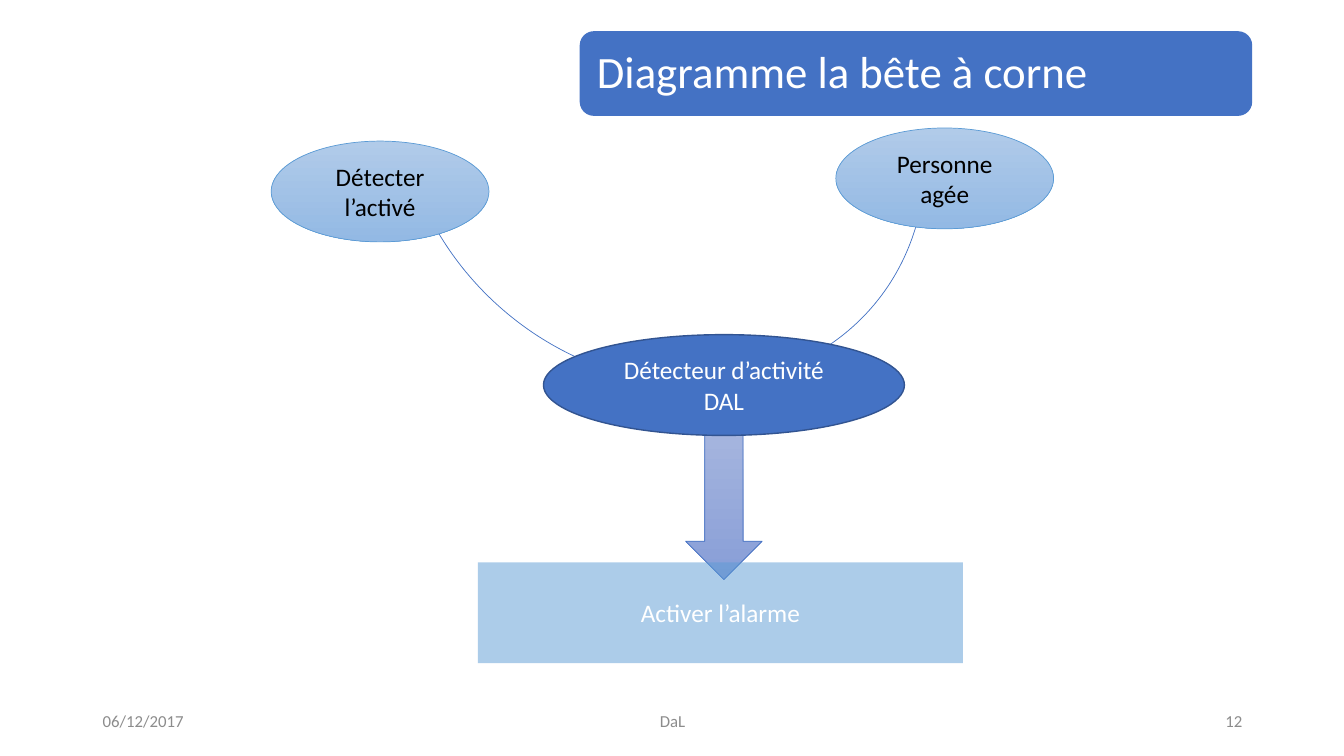
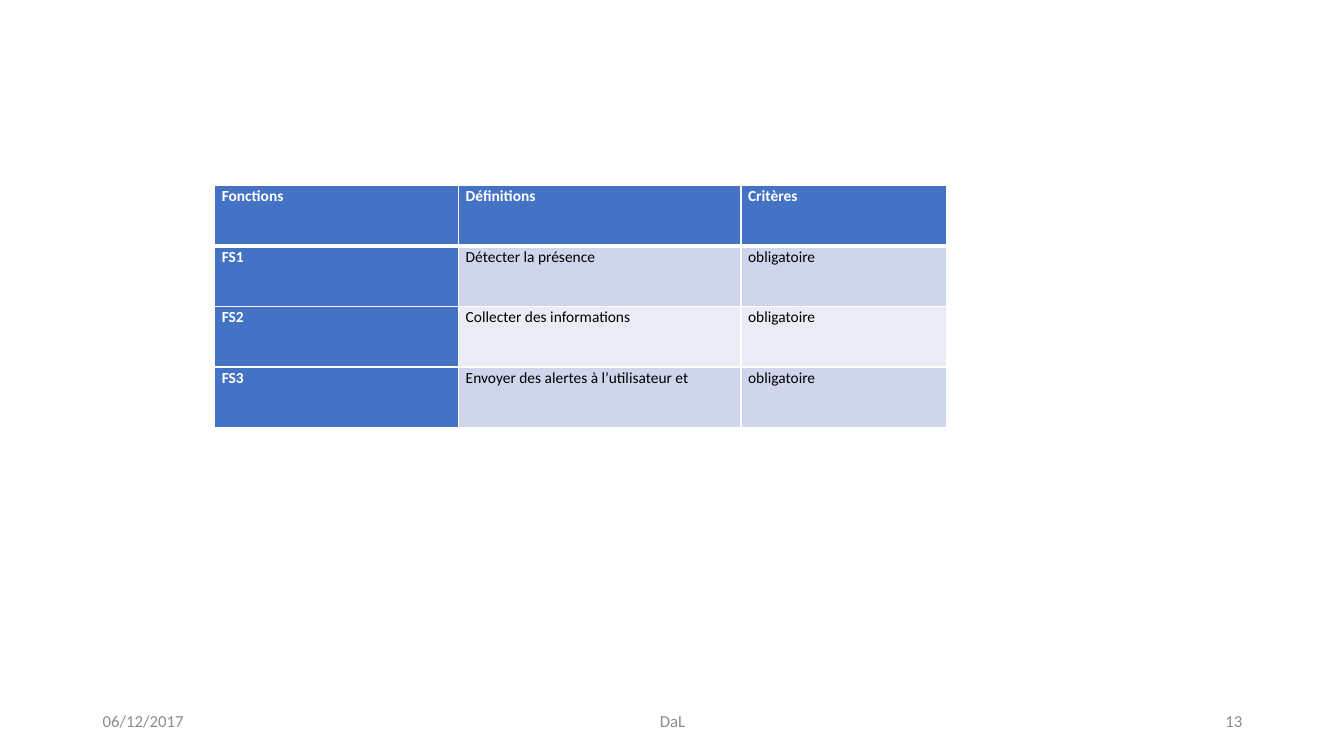
from lxml import etree
from pptx import Presentation
from pptx import util as u
from pptx.dml.color import RGBColor
from pptx.enum import shapes, text
from pptx.oxml import ns


class Theme:
    font = "Calibri"
    blue, dark_blue, light_blue = "4472C4", "325491", "5B9BD5"
    white, black, grey = "FFFFFF", "000000", "8C8C8C"
    bands = ("CFD5EA", "E9EBF5")
    arrow_gradient = ("A8B7DF", "889ED7")
    ellipse_gradient = ("B1CBE9", "93B9E4")
    title_size, body_size, footer_size, table_size = 32, 18, 12, 11


LEFT, CENTER, RIGHT = text.PP_ALIGN.LEFT, text.PP_ALIGN.CENTER, text.PP_ALIGN.RIGHT
MIDDLE = text.MSO_ANCHOR.MIDDLE


def write(frame, wording, size, color, align=LEFT, bold=False, spacing=1.0):
    frame.word_wrap = True
    paragraph = frame.paragraphs[0]
    paragraph.alignment, paragraph.line_spacing = align, spacing
    run = paragraph.add_run()
    run.text = wording
    values = {"name": Theme.font, "size": u.Pt(size), "bold": bold}
    for name, value in values.items():
        setattr(run.font, name, value)
    run.font.color.rgb = RGBColor.from_string(color)


def draw(slide, kind, box, fill=None, line=None, line_width=0.5):
    """A fill is None, one colour, or a pair running from top to bottom."""
    shape = slide.shapes.add_shape(kind, *map(u.Inches, box))
    shape.shadow.inherit = False
    if fill is None:
        shape.fill.background()
    elif isinstance(fill, tuple):
        shape.fill.gradient()
        shape.fill.gradient_angle = 270
        for stop, color in zip(shape.fill.gradient_stops, fill):
            stop.color.rgb = RGBColor.from_string(color)
    else:
        shape.fill.solid()
        shape.fill.fore_color.rgb = RGBColor.from_string(fill)
    if line:
        shape.line.color.rgb = RGBColor.from_string(line)
        shape.line.width = u.Pt(line_width)
    else:
        shape.line.fill.background()
    return shape


presentation = Presentation()
presentation.slide_width, presentation.slide_height = u.Inches(13.33), u.Inches(7.5)
blank = presentation.slide_layouts[6]
diagram_slide, table_slide = [presentation.slides.add_slide(blank) for _ in range(2)]
preset = shapes.MSO_SHAPE

# Diagram: arrow and horns lie behind the ellipses
draw(diagram_slide, preset.DOWN_ARROW, (6.8, 4.15, 0.76, 1.6), Theme.arrow_gradient, Theme.blue)
horns = draw(diagram_slide, preset.ARC, (4.15, -1.51, 4.83, 5.51), line=Theme.blue)
horns.rotation = 131
horns.adjustments[0], horns.adjustments[1] = 148.16, 17.81

# Title band
title = draw(diagram_slide, preset.ROUNDED_RECTANGLE, (5.75, 0.31, 6.67, 0.84), Theme.blue)
title.text_frame.vertical_anchor = MIDDLE
for side in ("left", "right", "top", "bottom"):
    setattr(title.text_frame, "margin_" + side, u.Inches(0.13))
write(title.text_frame, "Diagramme la bête à corne", Theme.title_size, Theme.white, spacing=0.9)

# Labelled nodes
nodes = [
    ("Détecteur d’activité DAL", preset.OVAL, (5.39, 3.32, 3.58, 1), Theme.blue,
     Theme.dark_blue, 1, Theme.white),
    ("Détecter l’activé", preset.OVAL, (2.69, 1.4, 2.16, 1), Theme.ellipse_gradient,
     Theme.light_blue, 0.5, Theme.black),
    ("Personne agée", preset.OVAL, (8.29, 1.27, 2.16, 1), Theme.ellipse_gradient,
     Theme.light_blue, 0.5, Theme.black),
    ("Activer l’alarme", preset.RECTANGLE, (4.74, 5.58, 4.81, 1), Theme.light_blue,
     None, 0, Theme.white),
]
for wording, kind, box, fill, line, line_width, color in nodes:
    node = draw(diagram_slide, kind, box, fill, line, line_width)
    node.text_frame.vertical_anchor = MIDDLE
    write(node.text_frame, wording, Theme.body_size, color, CENTER)

# The alarm box, drawn last, is half transparent
alarm_color = node.element.spPr.find(ns.qn("a:solidFill")).find(ns.qn("a:srgbClr"))
etree.SubElement(alarm_color, ns.qn("a:alpha"), val="50000")

# Table of functions
rows = [
    ("Fonctions", "Définitions", "Critères"),
    ("FS1", "Détecter la présence", "obligatoire"),
    ("FS2", "Collecter des informations", "obligatoire"),
    ("FS3", "Envoyer des alertes à l’utilisateur et", "obligatoire"),
]
widths = (2.42, 2.8, 2.04)
row_height = 0.6
table = table_slide.shapes.add_table(
    len(rows), len(widths), u.Inches(2.13), u.Inches(1.84),
    u.Inches(sum(widths)), u.Inches(row_height * len(rows))).table
for column, width in zip(table.columns, widths):
    column.width = u.Inches(width)
cell_margins = {"margin_left": 0.07, "margin_right": 0.07, "margin_top": 0, "margin_bottom": 0}
for i, row in enumerate(rows):
    table.rows[i].height = u.Inches(row_height)
    for j, wording in enumerate(row):
        cell = table.cell(i, j)
        heading = i == 0 or j == 0
        for name, value in cell_margins.items():
            setattr(cell, name, u.Inches(value))
        cell.fill.solid()
        cell.fill.fore_color.rgb = RGBColor.from_string(
            Theme.blue if heading else Theme.bands[(i - 1) % 2])
        write(cell.text_frame, wording, Theme.table_size,
              Theme.white if heading else Theme.black, bold=heading, spacing=1.07)
        # White borders, thick below the header row
        properties = cell._tc.get_or_add_tcPr()
        for position, side in enumerate("LRTB"):
            thick = (i, side) in ((0, "B"), (1, "T"))
            border = etree.Element(ns.qn("a:ln" + side), w=str(u.Pt(3 if thick else 1)))
            border_fill = etree.SubElement(border, ns.qn("a:solidFill"))
            etree.SubElement(border_fill, ns.qn("a:srgbClr"), val=Theme.white)
            properties.insert(position, border)

# Footers
for number, slide in enumerate(presentation.slides, start=12):
    footers = [("06/12/2017", 0.92, 3, LEFT), ("DaL", 4.42, 4.5, CENTER),
               (str(number), 9.42, 3, RIGHT)]
    for wording, left, width, align in footers:
        footer = slide.shapes.add_textbox(*map(u.Inches, (left, 6.95, width, 0.4)))
        footer.text_frame.vertical_anchor = MIDDLE
        write(footer.text_frame, wording, Theme.footer_size, Theme.grey, align)

presentation.save("out.pptx")
